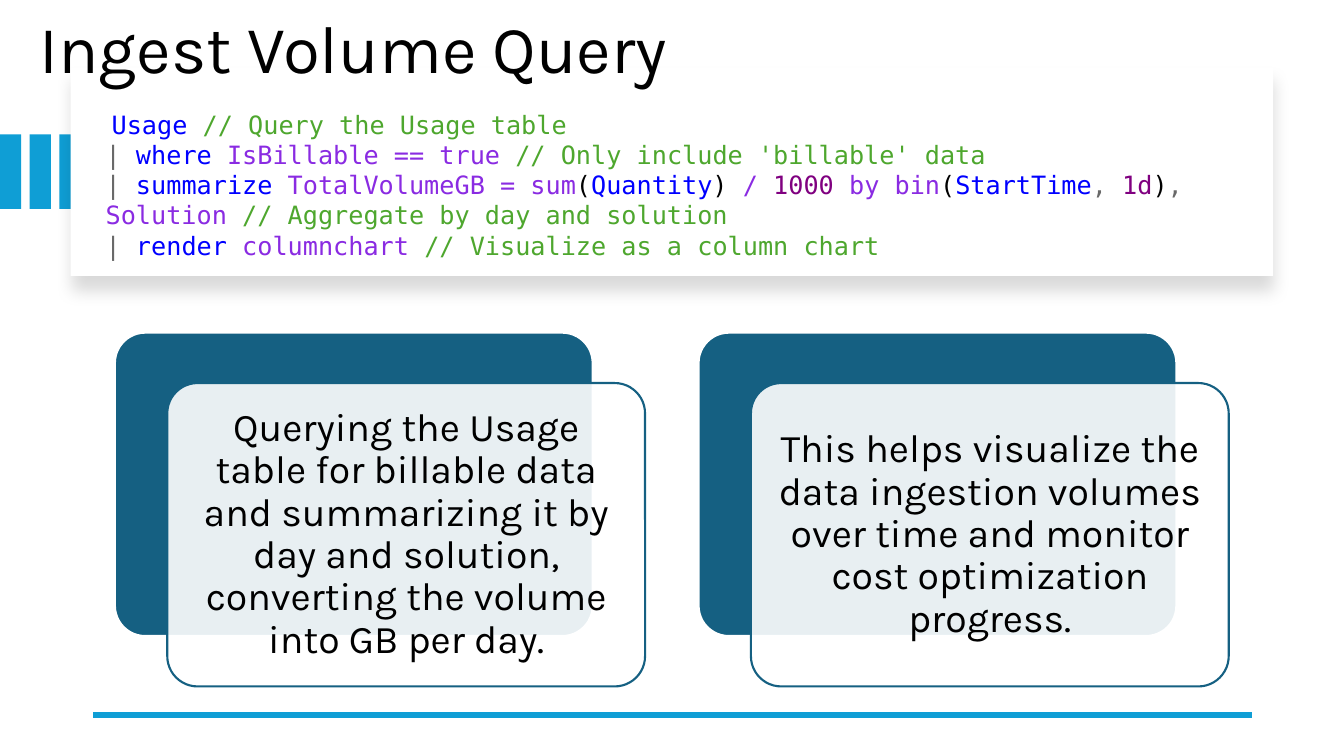
"""Build the Ingest Volume Query slide."""
from dataclasses import dataclass

from lxml.etree import SubElement
from pptx import Presentation
from pptx.dml.color import RGBColor
from pptx.enum.shapes import MSO_CONNECTOR, MSO_SHAPE
from pptx.enum.text import MSO_ANCHOR, MSO_AUTO_SIZE, PP_ALIGN
from pptx.oxml.ns import qn
from pptx.shapes.autoshape import Shape
from pptx.slide import Slide
from pptx.text.text import TextFrame, _Paragraph
from pptx.util import Pt

SKY = RGBColor(0x0F, 0x9E, 0xD5)
TEAL = RGBColor(0x15, 0x60, 0x82)
WHITE = RGBColor(0xFF, 0xFF, 0xFF)
BLACK = RGBColor(0x00, 0x00, 0x00)
BLUE = RGBColor(0x00, 0x00, 0xFF)
GREEN = RGBColor(0x4E, 0xA7, 0x2E)
GREY = RGBColor(0x69, 0x69, 0x69)
VIOLET = RGBColor(0x8A, 0x2B, 0xE2)
PURPLE = RGBColor(0x80, 0x00, 0x80)
SANS = "Karla"
MONO = "DejaVu Sans Mono"


@dataclass(frozen=True)
class Box:
    left: float
    top: float
    width: float
    height: float

    def shift(self, right: float, down: float) -> "Box":
        return Box(self.left + right, self.top + down, self.width, self.height)

    def points(self) -> tuple[Pt, Pt, Pt, Pt]:
        return Pt(self.left), Pt(self.top), Pt(self.width), Pt(self.height)


@dataclass(frozen=True)
class Token:
    text: str
    color: RGBColor
    font: str = MONO


BAR = Box(0, 96, 15.2, 53.2)
CARD = Box(50.4, 48.2, 859, 149)
TITLE = Box(20.9, -24.5, 801.4, 122.4)
CODE = Box(68.4, 74.2, 849.6, 138.2)
PANEL = Box(82.1, 237.6, 341.3, 216.7)
BAR_STEP = 21.2
PANEL_STEP = 416.9

NOTES = [
    "Querying the Usage table for billable data and summarizing it by day "
    "and solution, converting the volume into GB per day.",
    "This helps visualize the data ingestion volumes over time and monitor "
    "cost optimization progress.",
]
PIPE = Token("| ", GREY)
QUERY = [
    [Token(" ", BLACK, SANS), Token("Usage ", BLUE), Token("// Query the Usage table", GREEN)],
    [PIPE, Token("where ", BLUE), Token("IsBillable == true ", VIOLET),
     Token("// Only include 'billable' data", GREEN)],
    [PIPE, Token("summarize ", BLUE), Token("TotalVolumeGB = sum", VIOLET),
     Token("(", BLACK), Token("Quantity", BLUE), Token(") ", BLACK),
     Token("/ ", VIOLET), Token("1000 ", PURPLE), Token("by bin", VIOLET),
     Token("(", BLACK), Token("StartTime", BLUE), Token(", ", GREY),
     Token("1d", PURPLE), Token(")", BLACK), Token(", ", GREY),
     Token("Solution ", VIOLET), Token("// Aggregate by day and solution", GREEN)],
    [PIPE, Token("render ", BLUE), Token("columnchart ", VIOLET),
     Token("// Visualize as a column chart", GREEN)],
]


def add_run(para: _Paragraph, token: Token, size: float) -> None:
    run = para.add_run()
    run.text = token.text
    run.font.name = token.font
    run.font.size = Pt(size)
    run.font.color.rgb = token.color


def add_block(slide: Slide, kind: MSO_SHAPE, box: Box, fill: RGBColor,
              line: RGBColor | None = None) -> Shape:
    block = slide.shapes.add_shape(kind, *box.points())
    block.shadow.inherit = False
    block.fill.solid()
    block.fill.fore_color.rgb = fill
    if line is None:
        block.line.fill.background()
    else:
        block.line.color.rgb = line
        block.line.width = Pt(1.5)
    if kind == MSO_SHAPE.ROUNDED_RECTANGLE:
        block.adjustments[0] = 0.1
    return block


def fill_text(frame: TextFrame, text: str, size: float, align: PP_ALIGN) -> None:
    frame.word_wrap = True
    frame.auto_size = MSO_AUTO_SIZE.NONE
    frame.vertical_anchor = MSO_ANCHOR.MIDDLE
    para = frame.paragraphs[0]
    para.alignment = align
    para.line_spacing = 0.9
    add_run(para, Token(text, BLACK, SANS), size)


def add_card(slide: Slide) -> Shape:
    card = add_block(slide, MSO_SHAPE.RECTANGLE, CARD, WHITE)
    effects = card.element.spPr.find(qn("a:effectLst"))
    shade = SubElement(effects, qn("a:outerShdw"), blurRad=str(Pt(11)),
                       dist=str(Pt(10)), dir="5400000", algn="t", rotWithShape="0")
    tint = SubElement(shade, qn("a:srgbClr"), val=str(BLACK))
    SubElement(tint, qn("a:alpha"), val="15000")
    return card


def add_title(slide: Slide, card: Shape) -> None:
    title = slide.shapes.title
    title.left, title.top, title.width, title.height = TITLE.points()
    fill_text(title.text_frame, "Ingest Volume Query", 48, PP_ALIGN.LEFT)
    card.element.addnext(title.element)


def add_rule(slide: Slide) -> None:
    rule = slide.shapes.add_connector(
        MSO_CONNECTOR.STRAIGHT, Pt(894.2), Pt(510.5), Pt(66.2), Pt(510.5))
    rule.line.color.rgb = SKY
    rule.line.width = Pt(4.5)
    SubElement(rule.element.spPr, qn("a:effectLst"))


def add_panel(slide: Slide, box: Box, text: str) -> None:
    add_block(slide, MSO_SHAPE.ROUNDED_RECTANGLE, box, TEAL, WHITE)
    front = add_block(slide, MSO_SHAPE.ROUNDED_RECTANGLE, box.shift(37.4, 36), WHITE, TEAL)
    tint = front.element.spPr.find(qn("a:solidFill"))[0]
    SubElement(tint, qn("a:alpha"), val="90000")
    frame = front.text_frame
    frame.margin_left = frame.margin_right = Pt(8.4)
    frame.margin_top = frame.margin_bottom = Pt(8.4)
    fill_text(frame, text, 28, PP_ALIGN.CENTER)


def add_code(slide: Slide) -> None:
    frame = slide.shapes.add_textbox(*CODE.points()).text_frame
    frame.word_wrap = True
    for row, tokens in enumerate(QUERY):
        para = frame.add_paragraph() if row else frame.paragraphs[0]
        for token in tokens:
            add_run(para, token, 18)


def main() -> None:
    deck = Presentation()
    deck.slide_width, deck.slide_height = Pt(960), Pt(540)
    slide = deck.slides.add_slide(deck.slide_layouts[5])
    for step in range(3):
        add_block(slide, MSO_SHAPE.RECTANGLE, BAR.shift(step * BAR_STEP, 0), SKY)
    add_title(slide, add_card(slide))
    add_rule(slide)
    for step, note in enumerate(NOTES):
        add_panel(slide, PANEL.shift(step * PANEL_STEP, 0), note)
    add_code(slide)
    deck.save("out.pptx")


if __name__ == "__main__":
    main()
